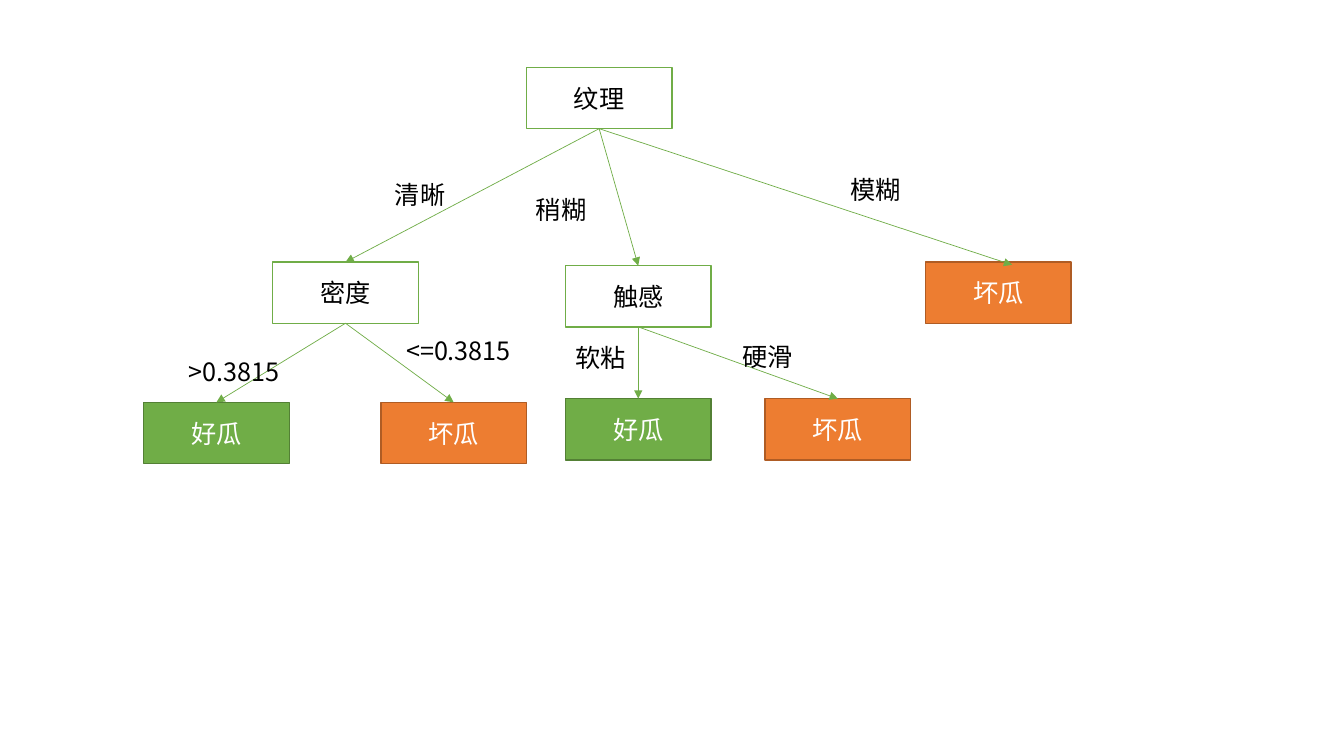
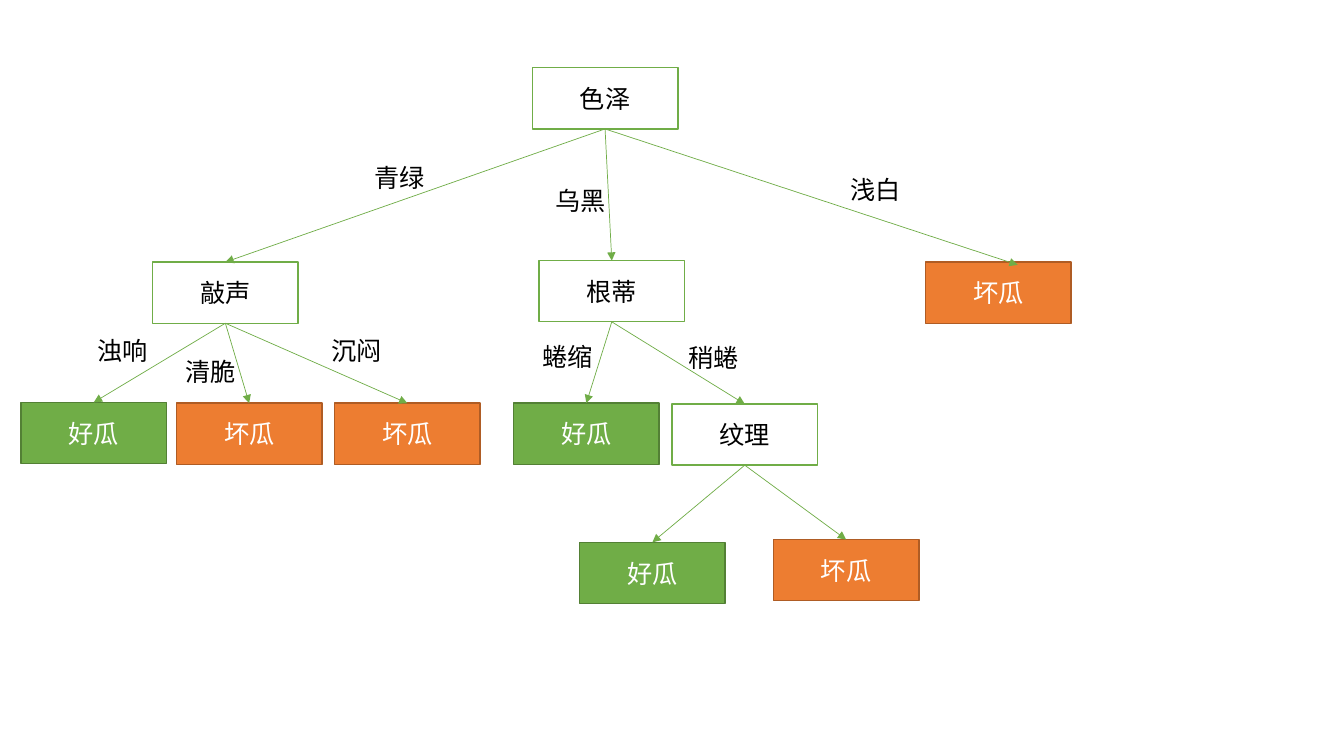
from dataclasses import dataclass

from lxml import etree
from pptx import Presentation
from pptx.dml.color import RGBColor
from pptx.enum.shapes import MSO_CONNECTOR, MSO_SHAPE
from pptx.enum.text import MSO_ANCHOR, MSO_AUTO_SIZE, PP_ALIGN
from pptx.oxml.ns import qn
from pptx.util import Pt

RECTANGLE = MSO_SHAPE.RECTANGLE
STRAIGHT = MSO_CONNECTOR.STRAIGHT
MIDDLE = MSO_ANCHOR.MIDDLE
FIT_SHAPE = MSO_AUTO_SIZE.SHAPE_TO_FIT_TEXT
CENTER, LEFT = PP_ALIGN.CENTER, PP_ALIGN.LEFT


@dataclass(frozen=True)
class Theme:
    font: str = "Noto Sans CJK SC"
    label_font: str = "Courier New"
    text_size: float = 18
    black: str = "000000"
    white: str = "FFFFFF"
    green: str = "70AD47"
    dark_green: str = "538035"
    orange: str = "ED7D31"
    dark_orange: str = "AF5C24"
    border: float = 1
    branch: float = 0.5


THEME = Theme()
SLIDE_SIZE = (960, 540)
BOX_WIDTH, BOX_HEIGHT = 104, 43.7
LABEL_HEIGHT = 28.8
SHORT, LONG = 60.5, 95.8  # label widths

# Box styles: fill, border, text; every other box is a question
QUESTION = (THEME.white, THEME.green, THEME.black)
VERDICTS = {
    "好瓜": (THEME.green, THEME.dark_green, THEME.white),
    "坏瓜": (THEME.orange, THEME.dark_orange, THEME.white),
}

# Each tree has boxes (text, left, top), branches (parent, child)
# and labels (text, left, top, width, font)
TREES = [
    {
        "boxes": [
            ("纹理", 376, 48.2), ("密度", 194.8, 187.2), ("触感", 403.9, 189.8),
            ("坏瓜", 661, 187.2), ("好瓜", 102.6, 287.4), ("坏瓜", 272, 287.4),
            ("好瓜", 403.9, 284.8), ("坏瓜", 546.5, 284.8),
        ],
        "branches": [(0, 1), (0, 2), (0, 3), (1, 4), (1, 5), (2, 6), (2, 7)],
        "tip_shift": {3: (10, 2)},
        "labels": [
            ("清晰", 275, 124.6, SHORT, THEME.font),
            ("稍糊", 375.8, 135.4, SHORT, THEME.font),
            ("模糊", 600.5, 121, SHORT, THEME.font),
            ("<=0.3815", 283, 236.2, LONG, THEME.font),
            (">0.3815", 127.4, 251.3, LONG, THEME.font),
            ("软粘", 403.9, 241.2, LONG, THEME.font),
            ("硬滑", 523.4, 240.5, LONG, THEME.font),
        ],
    },
    {
        "boxes": [
            ("色泽", 380.2, 48.4), ("敲声", 109, 187.2), ("根蒂", 385, 186.2),
            ("坏瓜", 661, 187.2), ("好瓜", 15, 287.4), ("坏瓜", 126, 288),
            ("坏瓜", 239, 288), ("好瓜", 366.8, 288), ("纹理", 480, 288.6),
            ("好瓜", 414, 387.4), ("坏瓜", 552.4, 385.4),
        ],
        "branches": [(0, 1), (0, 2), (0, 3), (1, 4), (1, 5), (1, 6),
                     (2, 7), (2, 8), (8, 9), (8, 10)],
        "tip_shift": {3: (14, 2)},
        "labels": [
            ("青绿", 260.6, 112.3, SHORT, THEME.label_font),
            ("乌黑", 389.5, 128.9, SHORT, THEME.label_font),
            ("浅白", 600.5, 121, SHORT, THEME.label_font),
            ("清脆", 125.3, 251.3, LONG, THEME.label_font),
            ("浊响", 62.6, 236.2, LONG, THEME.label_font),
            ("蜷缩", 380.2, 240.5, LONG, THEME.font),
            ("稍蜷", 484.6, 241.2, LONG, THEME.label_font),
            ("沉闷", 229.7, 236.2, SHORT, THEME.label_font),
        ],
    },
]


def color(value):
    return RGBColor.from_string(value)


def write(frame, text, alignment, font_name, font_color):
    paragraph = frame.paragraphs[0]
    paragraph.text = text
    paragraph.alignment = alignment
    font = paragraph.font
    font.name = font_name
    font.size = Pt(THEME.text_size)
    font.color.rgb = color(font_color)
    # East Asian characters take the same typeface
    properties = paragraph._p.pPr.find(qn("a:defRPr"))
    etree.SubElement(properties, qn("a:ea")).set("typeface", font_name)


def add_box(slide, text, left, top):
    fill, border, font_color = VERDICTS.get(text, QUESTION)
    shape = slide.shapes.add_shape(
        RECTANGLE, Pt(left), Pt(top), Pt(BOX_WIDTH), Pt(BOX_HEIGHT))
    shape.shadow.inherit = False
    shape.fill.solid()
    shape.fill.fore_color.rgb = color(fill)
    shape.line.color.rgb = color(border)
    shape.line.width = Pt(THEME.border)
    shape.text_frame.vertical_anchor = MIDDLE
    write(shape.text_frame, text, CENTER, THEME.font, font_color)


def add_branch(slide, parent, child, shift):
    middle = BOX_WIDTH / 2
    _, parent_left, parent_top = parent
    _, child_left, child_top = child
    connector = slide.shapes.add_connector(
        STRAIGHT,
        Pt(parent_left + middle), Pt(parent_top + BOX_HEIGHT),
        Pt(child_left + middle + shift[0]), Pt(child_top + shift[1]))
    connector.line.color.rgb = color(THEME.green)
    connector.line.width = Pt(THEME.branch)
    line = connector.line._get_or_add_ln()
    etree.SubElement(line, qn("a:tailEnd")).set("type", "triangle")
    etree.SubElement(connector._element.spPr, qn("a:effectLst"))


def add_label(slide, text, left, top, width, font_name):
    label = slide.shapes.add_textbox(
        Pt(left), Pt(top), Pt(width), Pt(LABEL_HEIGHT))
    label.text_frame.word_wrap = True
    label.text_frame.auto_size = FIT_SHAPE
    write(label.text_frame, text, LEFT, font_name, THEME.black)


presentation = Presentation()
presentation.slide_width, presentation.slide_height = map(Pt, SLIDE_SIZE)
blank_layout = presentation.slide_layouts[6]

for tree in TREES:
    slide = presentation.slides.add_slide(blank_layout)
    boxes = tree["boxes"]
    for box in boxes:
        add_box(slide, *box)
    for parent, child in tree["branches"]:
        shift = tree["tip_shift"].get(child, (0, 0))
        add_branch(slide, boxes[parent], boxes[child], shift)
    for label in tree["labels"]:
        add_label(slide, *label)

presentation.save("out.pptx")
